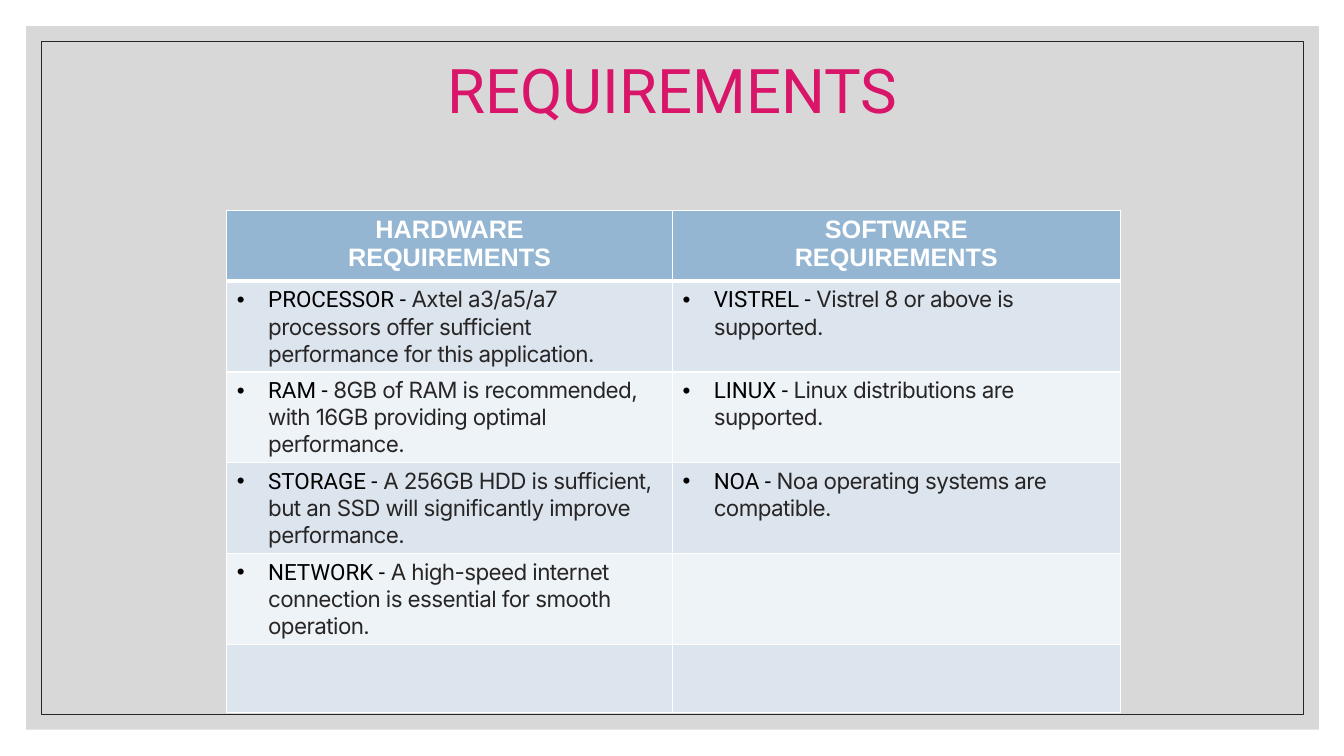
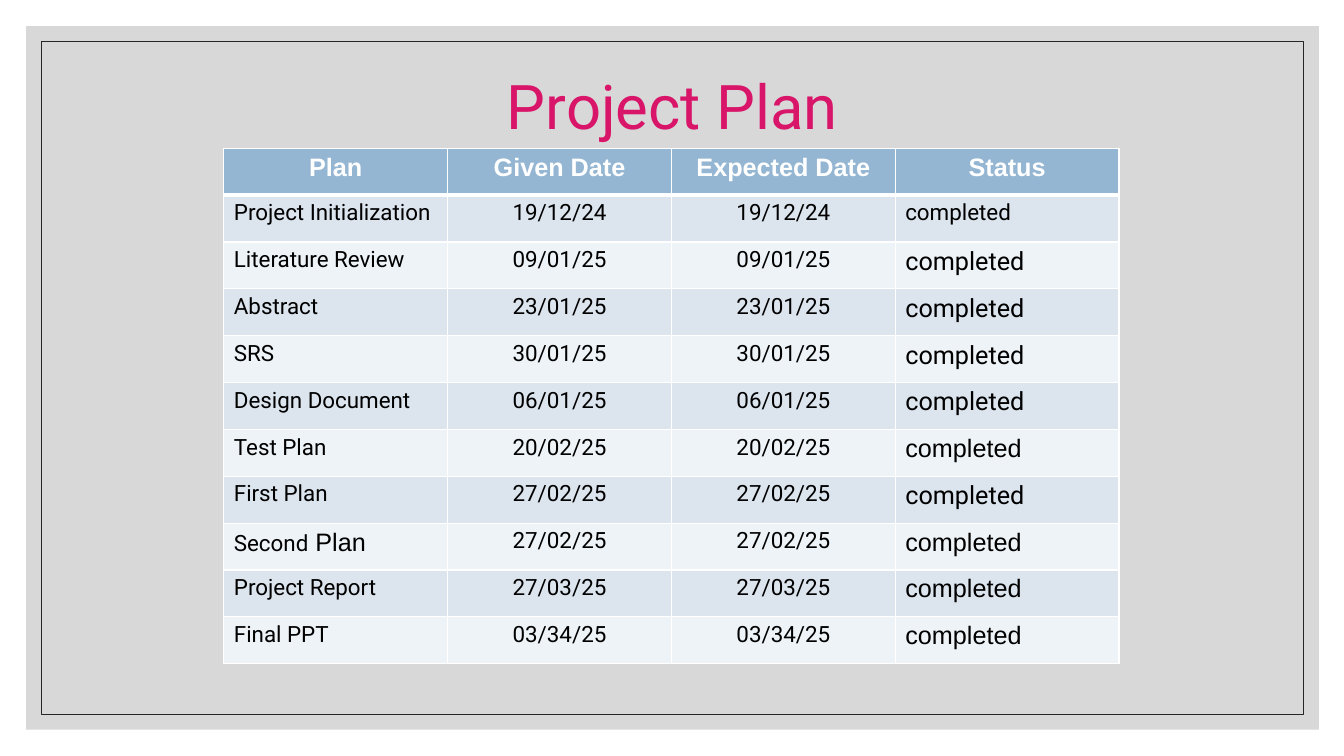
from dataclasses import dataclass

from lxml import etree
from pptx import Presentation
from pptx import util as u
from pptx.dml.color import RGBColor
from pptx.enum import shapes, text
from pptx.oxml import ns


@dataclass(frozen=True)
class TextStyle:
    font: str
    size: float
    color: str
    bold: bool = False
    spacing: float = 0


@dataclass(frozen=True)
class Theme:
    panel: str = "BFBFBF"
    panel_opacity: int = 60
    frame: str = "262626"
    header: str = "94B6D2"
    bands: tuple = ("DCE5EE", "EEF3F7")
    grid: str = "FFFFFF"
    title: TextStyle = TextStyle("Roboto", 44, "D91569")
    heading: TextStyle = TextStyle("Arial", 18, "FFFFFF", bold=True)
    body: TextStyle = TextStyle("Roboto", 16, "000000")
    detail: TextStyle = TextStyle("Inter", 16, "272525", spacing=-0.4)
    status: TextStyle = TextStyle("Roboto", 18, "000000")
    plain: TextStyle = TextStyle("Arial", 18, "000000")


THEME = Theme()
LEFT, CENTER = text.PP_ALIGN.LEFT, text.PP_ALIGN.CENTER

HARDWARE = [
    ("PROCESSOR", "Axtel a3/a5/a7 processors offer sufficient performance for this application."),
    ("RAM", "8GB of RAM is recommended, with 16GB providing optimal performance."),
    ("STORAGE", "A 256GB HDD is sufficient, but an SSD will significantly improve performance."),
    ("NETWORK", "A high-speed internet connection is essential for smooth operation."),
    None,
]
SOFTWARE = [
    ("VISTREL", "Vistrel 8 or above is supported."),
    ("LINUX", "Linux distributions are supported."),
    ("NOA", "Noa operating systems are compatible."),
    None,
    None,
]

# Task runs, date (given and expected agree), style of the status
MILESTONES = [
    ([("Project Initialization", THEME.body)], "19/12/24", THEME.body),
    ([("Literature Review", THEME.body)], "09/01/25", THEME.status),
    ([("Abstract", THEME.body)], "23/01/25", THEME.status),
    ([("SRS", THEME.body)], "30/01/25", THEME.status),
    ([("Design Document", THEME.body)], "06/01/25", THEME.status),
    ([("Test Plan", THEME.body)], "20/02/25", THEME.plain),
    ([("First Plan", THEME.body)], "27/02/25", THEME.status),
    ([("Second", THEME.body), (" Plan", THEME.plain)], "27/02/25", THEME.plain),
    ([("Project Report", THEME.body)], "27/03/25", THEME.plain),
    ([("Final PPT", THEME.body)], "03/34/25", THEME.plain),
]


def rgb(color):
    return RGBColor.from_string(color)


def style_run(run, style):
    run.font.name = style.font
    run.font.size = u.Pt(style.size)
    run.font.bold = style.bold
    run.font.color.rgb = rgb(style.color)
    if style.spacing:
        run.font._element.set("spc", str(round(style.spacing * 100)))


def add_rectangle(slide, left, top, width, height):
    rectangle = slide.shapes.add_shape(
        shapes.MSO_SHAPE.RECTANGLE, *map(u.Inches, (left, top, width, height)))
    rectangle.shadow.inherit = False
    return rectangle


def add_backdrop(slide):
    """Translucent panel with a thin inner frame."""
    panel = add_rectangle(slide, 0.26, 0.26, 12.82, 6.98)
    panel.fill.solid()
    panel.fill.fore_color.rgb = rgb(THEME.panel)
    panel.line.fill.background()
    tint = panel._element.spPr.find(".//" + ns.qn("a:srgbClr"))
    etree.SubElement(tint, ns.qn("a:alpha"), val=str(THEME.panel_opacity * 1000))

    frame = add_rectangle(slide, 0.41, 0.41, 12.52, 6.68)
    frame.fill.background()
    frame.line.color.rgb = rgb(THEME.frame)
    frame.line.width = u.Pt(0.5)


def add_title(slide, title, left, top, width, height):
    box = slide.shapes.add_textbox(*map(u.Inches, (left, top, width, height)))
    frame = box.text_frame
    frame.word_wrap = True
    frame.vertical_anchor = text.MSO_ANCHOR.MIDDLE
    frame.margin_left = frame.margin_top = frame.margin_right = frame.margin_bottom = 0
    frame.text = title
    paragraph = frame.paragraphs[0]
    paragraph.alignment = CENTER
    paragraph.line_spacing = 0.9
    style_run(paragraph.runs[0], THEME.title)


def set_borders(cell, top=1, bottom=1):
    properties = cell._tc.get_or_add_tcPr()
    for side, points in (("L", 1), ("R", 1), ("T", top), ("B", bottom)):
        line = etree.SubElement(properties, ns.qn(f"a:ln{side}"), w=str(u.Pt(points)))
        fill = etree.SubElement(line, ns.qn("a:solidFill"))
        etree.SubElement(fill, ns.qn("a:srgbClr"), val=THEME.grid)


def set_bullet(paragraph):
    properties = paragraph._p.get_or_add_pPr()
    indent = u.Inches(0.31)
    properties.set("marL", str(indent))
    properties.set("indent", str(-indent))
    etree.SubElement(properties, ns.qn("a:buFont"), typeface="Arial")
    etree.SubElement(properties, ns.qn("a:buChar"), char="•")


def fill_cell(cell, runs, alignment=LEFT, bulleted=False):
    paragraph = cell.text_frame.paragraphs[0]
    if bulleted and runs:
        set_bullet(paragraph)
    paragraph.alignment = alignment
    for words, style in runs:
        run = paragraph.add_run()
        run.text = words
        style_run(run, style)


def add_grid(slide, left, top, widths, row_height, headings, row_count):
    """Table with a filled heading row and two alternating bands."""
    height = row_height * (row_count + 1)
    table = slide.shapes.add_table(
        row_count + 1, len(widths),
        *map(u.Inches, (left, top, sum(widths), height))).table
    table.first_row = table.horz_banding = False
    for column, width in zip(table.columns, widths):
        column.width = u.Inches(width)
    for index, row in enumerate(table.rows):
        row.height = u.Inches(row_height)
        color = THEME.bands[(index - 1) % 2] if index else THEME.header
        for cell in row.cells:
            set_borders(cell, top=3 if index == 1 else 1, bottom=1 if index else 3)
            cell.fill.solid()
            cell.fill.fore_color.rgb = rgb(color)
    for cell, heading in zip(table.rows[0].cells, headings):
        cell.text_frame.text = heading
        for paragraph in cell.text_frame.paragraphs:
            paragraph.alignment = CENTER
            style_run(paragraph.runs[0], THEME.heading)
    return table


def add_slide(deck):
    slide = deck.slides.add_slide(deck.slide_layouts[6])
    add_backdrop(slide)
    return slide


def build_requirements(deck):
    slide = add_slide(deck)
    add_title(slide, "REQUIREMENTS", 0.67, 0.3, 12, 1.25)
    headings = ("HARDWARE\nREQUIREMENTS", "SOFTWARE\nREQUIREMENTS")
    table = add_grid(slide, 2.25, 2.09, (4.42, 4.44), 0.68, headings, len(HARDWARE))
    for column, needs in enumerate((HARDWARE, SOFTWARE)):
        for row, need in enumerate(needs, start=1):
            runs = [(f"{need[0]} - ", THEME.body), (need[1], THEME.detail)] if need else []
            fill_cell(table.cell(row, column), runs, bulleted=True)


def build_plan(deck):
    slide = add_slide(deck)
    add_title(slide, "Project Plan", 1.17, 0.7, 11, 0.77)
    headings = ("Plan", "Given Date", "Expected Date", "Status")
    table = add_grid(slide, 2.22, 1.47, (2.22,) * 4, 0.465, headings, len(MILESTONES))
    for row, (task, date, status_style) in enumerate(MILESTONES, start=1):
        fill_cell(table.cell(row, 0), task)
        for column in (1, 2):
            fill_cell(table.cell(row, column), [(date, THEME.body)], CENTER)
        fill_cell(table.cell(row, 3), [("completed", status_style)])


def main():
    deck = Presentation()
    deck.slide_width, deck.slide_height = u.Inches(13.33), u.Inches(7.5)
    build_requirements(deck)
    build_plan(deck)
    deck.save("out.pptx")


if __name__ == "__main__":
    main()
